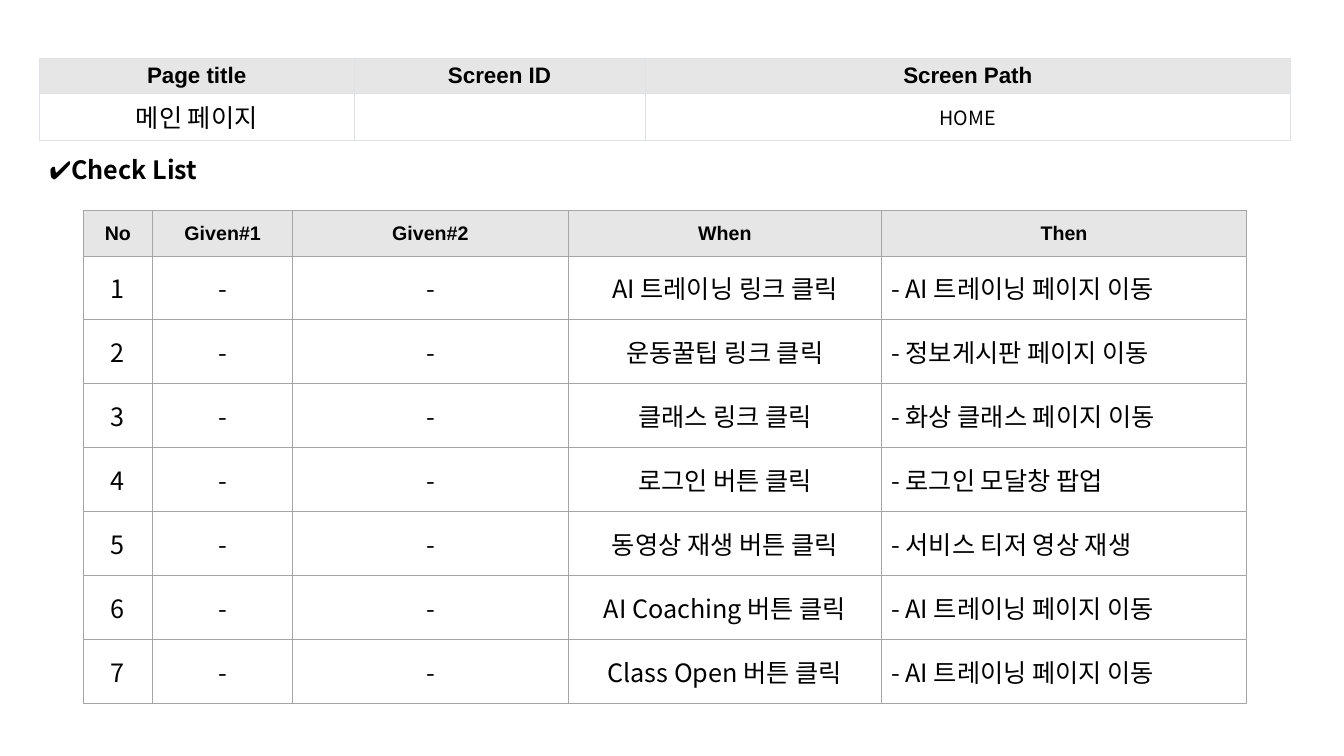
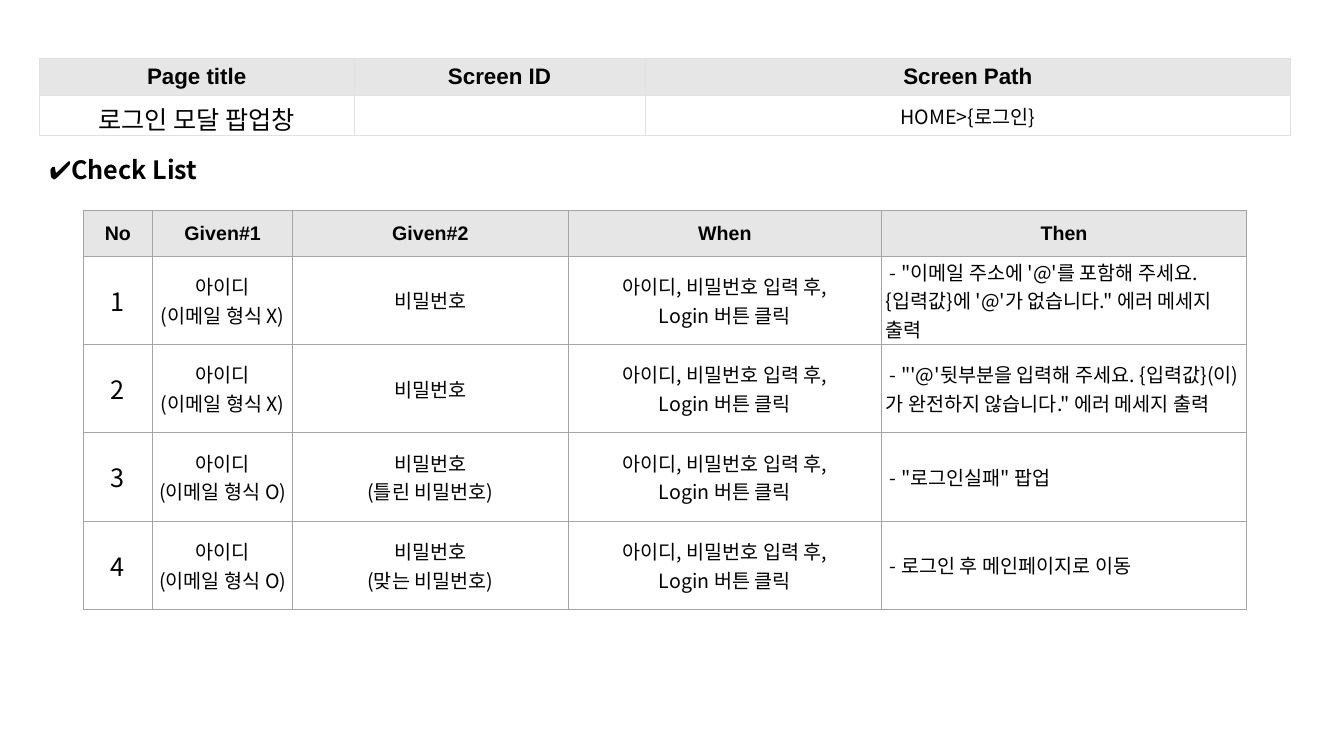
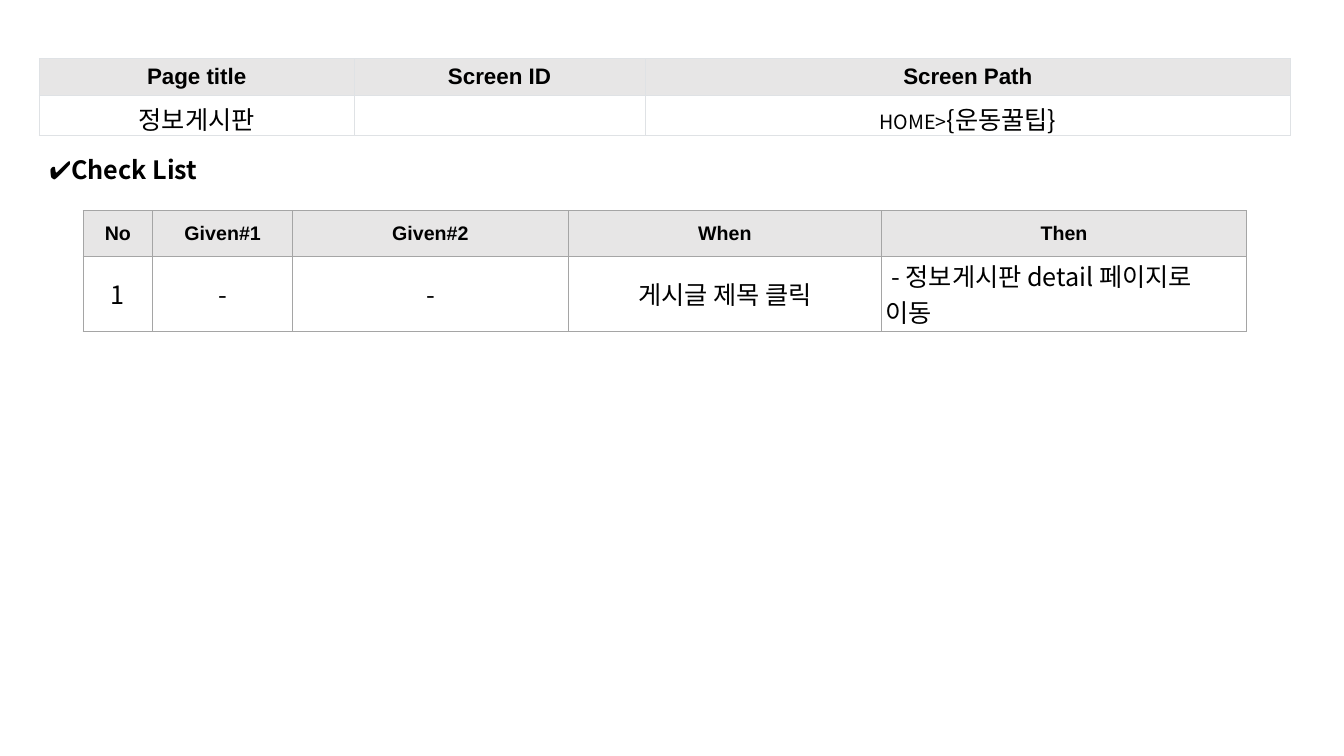
from dataclasses import dataclass

from pptx import Presentation
from pptx.dml.color import RGBColor
from pptx.enum.text import MSO_ANCHOR as Anchor, PP_ALIGN as Align
from pptx.oxml.ns import qn
from pptx.slide import Slide
from pptx.util import Inches, Pt
from lxml.etree import SubElement


# Theme
@dataclass(frozen=True)
class Theme:
    head_font: str = "Arial"
    body_font: str = "Noto Sans CJK KR"
    ink: str = "000000"
    paper: str = "FFFFFF"
    head_fill: str = "E7E6E6"
    page_line: str = "DFE2E5"
    check_line: str = "A5A5A5"
    large: int = 18
    medium: int = 16
    small: int = 14
    line_width: float = 0.75


T = Theme()

# Grid of 100 columns by 100 rows over the slide
prs = Presentation()
prs.slide_width, prs.slide_height = Inches(13.33), Inches(7.5)


def col(n: float) -> int:
    return round(prs.slide_width * n / 100)


def row(n: float) -> int:
    return round(prs.slide_height * n / 100)


# Table styles and slide contents
@dataclass(frozen=True)
class TableStyle:
    left: float
    top: float
    cols: tuple[float, ...]
    head_row: float
    head: tuple[str, ...]
    head_size: int
    line: str
    head_margin: tuple[float, float]
    body_margin: tuple[float, float]
    left_col: int | None = None


@dataclass(frozen=True)
class Cell:
    runs: tuple[tuple[str, int], ...]


@dataclass(frozen=True)
class Page:
    title: str
    trail: Cell
    check_row: float
    checks: list[tuple[str, str, str, str]]
    size: int = T.large


# The page rows grow to fit their text
PAGE_ROW = 2.53
PAGE_INFO = TableStyle(
    2.93, 7.73, (23.41, 21.65, 48.05), 2.93,
    ("Page title", "Screen ID", "Screen Path"), T.medium, T.page_line,
    (0.11, 0.05), (0.11, 0.05))
CHECKS = TableStyle(
    6.18, 27.87, (5.18, 10.43, 20.48, 23.33, 27.16), 6.0,
    ("No", "Given#1", "Given#2", "When", "Then"), T.small, T.check_line,
    (0.04, 0.02), (0.04, 0.01), left_col=4)

AI_PAGE = " - AI 트레이닝 페이지 이동"
LOGIN = "아이디, 비밀번호 입력 후,\nLogin 버튼 클릭"
BAD_ID, GOOD_ID = (f"아이디\n(이메일 형식 {mark})" for mark in "XO")

PAGES = [
    Page("메인 페이지", Cell((("HOME", T.small),)), 8.45, [
        ("-", "-", when, then) for when, then in (
            ("AI 트레이닝 링크 클릭", AI_PAGE),
            ("운동꿀팁 링크 클릭", " - 정보게시판 페이지 이동"),
            ("클래스 링크 클릭", " - 화상 클래스 페이지 이동"),
            ("로그인 버튼 클릭", " - 로그인 모달창 팝업"),
            ("동영상 재생 버튼 클릭", " - 서비스 티저 영상 재생"),
            ("AI Coaching 버튼 클릭", AI_PAGE),
            ("Class Open 버튼 클릭", AI_PAGE))]),
    Page("로그인 모달 팝업창", Cell((("HOME>{로그인}", T.small),)), 11.69, [
        (BAD_ID, "비밀번호", LOGIN,
         " - \"이메일 주소에 '@'를 포함해 주세요. {입력값}에 '@'가 없습니다.\" 에러 메세지 출력"),
        (BAD_ID, "비밀번호", LOGIN,
         " - \"'@'뒷부분을 입력해 주세요. {입력값}(이)가 완전하지 않습니다.\" 에러 메세지 출력"),
        (GOOD_ID, "비밀번호\n(틀린 비밀번호)", LOGIN, " - \"로그인실패\" 팝업"),
        (GOOD_ID, "비밀번호\n(맞는 비밀번호)", LOGIN, " - 로그인 후 메인페이지로 이동"),
    ], T.small),
    Page("정보게시판", Cell((("HOME>", T.small), ("{운동꿀팁}", T.large))), 9.92, [
        ("-", "-", "게시글 제목 클릭", " - 정보게시판 detail 페이지로 이동")]),
]


# Drawing functions
def add_run(p, text: str, *, size: int, font: str = T.body_font,
            bold: bool = False) -> None:
    r = p.add_run()
    r.text = text
    r.font.size, r.font.bold, r.font.name = Pt(size), bold, font
    r.font.color.rgb = RGBColor.from_string(T.ink)
    r.font._element.set("kern", "0")
    SubElement(r.font._element, qn("a:ea"), typeface=font)


def write(tf, cell: Cell, *, align: Align = Align.CENTER, **fmt) -> None:
    p = tf.paragraphs[0]
    p.alignment = align
    for text, size in cell.runs:
        for i, line in enumerate(text.split("\n")):
            if i:
                p = tf.add_paragraph()
                p.alignment = align
            add_run(p, line, size=size, **fmt)


def style_cell(cell, *, fill: str, line: str,
               margin: tuple[float, float]) -> None:
    tc_pr = cell._tc.get_or_add_tcPr()
    for side in ("lnL", "lnR", "lnT", "lnB"):
        ln = SubElement(tc_pr, qn(f"a:{side}"), w=str(Pt(T.line_width)))
        SubElement(SubElement(ln, qn("a:solidFill")), qn("a:srgbClr"), val=line)
    cell.fill.solid()
    cell.fill.fore_color.rgb = RGBColor.from_string(fill)
    cell.vertical_anchor = Anchor.MIDDLE
    cell.margin_left = cell.margin_right = Inches(margin[0])
    cell.margin_top = cell.margin_bottom = Inches(margin[1])


def add_grid(s: Slide, style: TableStyle, body: list[list[Cell | None]],
             *, body_row: float) -> None:
    heights = [style.head_row] + [body_row] * len(body)
    table = s.shapes.add_table(
        len(heights), len(style.cols), col(style.left), row(style.top),
        col(sum(style.cols)), row(sum(heights))).table
    table.first_row = table.horz_banding = False
    for column, width in zip(table.columns, style.cols):
        column.width = col(width)
    for line, height in zip(table.rows, heights):
        line.height = row(height)
    for c, label in enumerate(style.head):
        cell = table.cell(0, c)
        style_cell(cell, fill=T.head_fill, line=style.line, margin=style.head_margin)
        write(cell.text_frame, Cell(((label, style.head_size),)),
              font=T.head_font, bold=True)
    for r, contents in enumerate(body, 1):
        for c, content in enumerate(contents):
            cell = table.cell(r, c)
            style_cell(cell, fill=T.paper, line=style.line, margin=style.body_margin)
            if content:
                write(cell.text_frame, content,
                      align=Align.LEFT if c == style.left_col else Align.CENTER)


def add_heading(s: Slide, text: str) -> None:
    tf = s.shapes.add_textbox(col(2.93), row(19.73), col(13.88), row(5.33)).text_frame
    tf.word_wrap = True
    write(tf, Cell(((text, T.large),)), align=Align.LEFT, bold=True)


def add_page(page: Page) -> None:
    s = prs.slides.add_slide(prs.slide_layouts[6])
    add_grid(s, CHECKS, [
        [Cell(((str(no), T.large),)), *(Cell(((text, page.size),)) for text in check)]
        for no, check in enumerate(page.checks, 1)], body_row=page.check_row)
    add_grid(s, PAGE_INFO, [[Cell(((page.title, T.large),)), None, page.trail]],
             body_row=PAGE_ROW)
    add_heading(s, "✔Check List")


# Build the slides
for page in PAGES:
    add_page(page)
prs.save("out.pptx")
